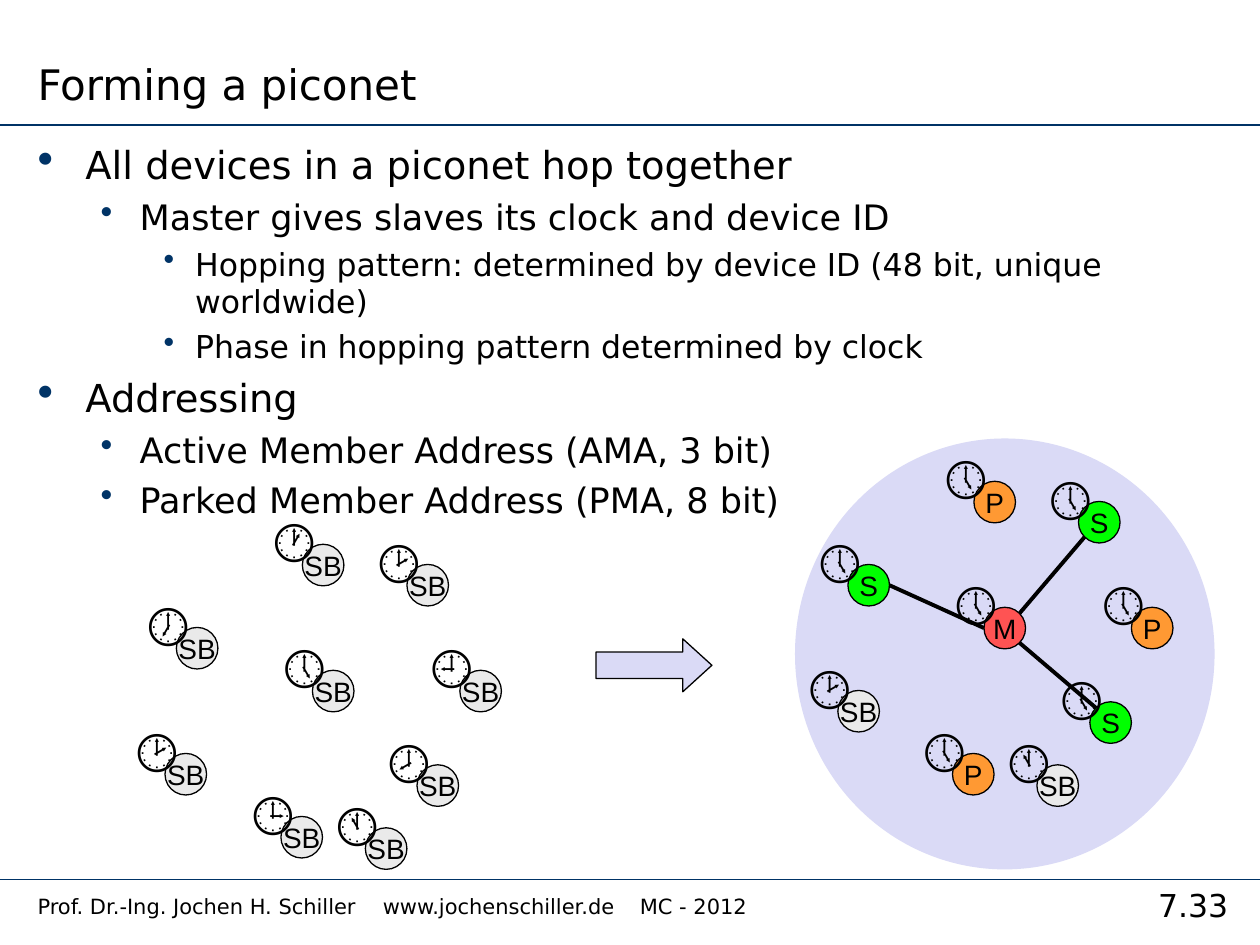
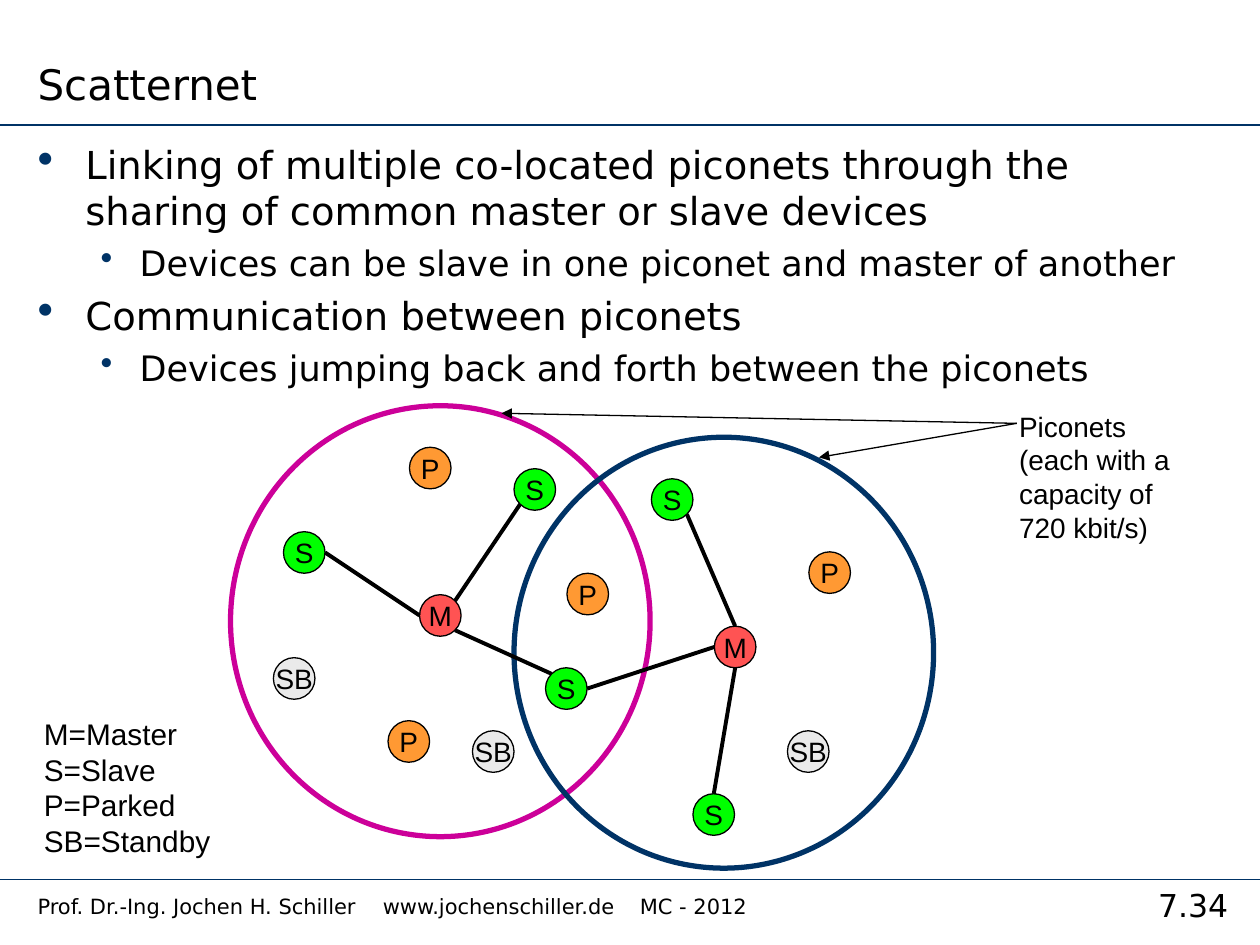
import math
from dataclasses import dataclass

from lxml import etree
from pptx import Presentation
from pptx import util as u
from pptx.dml.color import RGBColor
from pptx.enum import shapes, text
from pptx.oxml.ns import qn


@dataclass(frozen=True)
class Theme:
    ink = "000000"
    navy = "003366"
    magenta = "CC0099"
    lavender = "DADAF6"
    roles = {"M": "FF5353", "S": "00FF00", "P": "FF9933", "SB": "EAEAEA"}
    heading_font = "DejaVu Sans"
    label_font = "Arial"
    title_size = 24
    number_size = 18
    footer_size = 12
    label_size = 16
    legend_size = 17
    clock_size = 28
    thin = 0.75
    rule = 1
    link = 2.25
    ring = 3
    node = 0.33
    levels = ((22, 0.38, 0.38, 120), (20, 0.81, 0.31, 100), (18, 1.25, 0.25, 100))


THEME = Theme()
FOOTER = "Prof. Dr.-Ing. Jochen H. Schiller\twww.jochenschiller.de\tMC - 2012"
FOOTER_TABS = (2.74, 4.78)
PICONET_SIZE = (3.33, 3.42)
COMPASS = ("E", "SE", "S", "SW", "W", "NW", "N", "NE")


def apply(target, values):
    for name, value in values.items():
        setattr(target, name, value)


def inches(values):
    return [u.Inches(value) for value in values]


def add_child(parent, tag, **attributes):
    return etree.SubElement(parent, qn(tag), attributes)


def write(para, words, size, font):
    span = para.add_run()
    span.text = words
    apply(span.font, {"size": u.Pt(size), "name": font})
    span.font.color.rgb = RGBColor.from_string(THEME.ink)


def add_text(page, area, lines, size, font=THEME.heading_font, align=None, **frame):
    box = page.shapes.add_textbox(*inches(area))
    apply(box.text_frame, {"word_wrap": True, **frame})
    for index, words in enumerate(lines):
        para = box.text_frame.paragraphs[0] if index == 0 else box.text_frame.add_paragraph()
        para.alignment = align
        write(para, words, size, font)
    return box


def add_label(page, area, lines, size):
    add_text(page, area, lines, size, THEME.label_font, word_wrap=False,
             auto_size=text.MSO_AUTO_SIZE.SHAPE_TO_FIT_TEXT)


def add_line(page, start, end, color, width, arrow=False):
    line = page.shapes.add_connector(shapes.MSO_CONNECTOR.STRAIGHT, *inches((*start, *end)))
    line.line.color.rgb = RGBColor.from_string(color)
    line.line.width = u.Pt(width)
    if arrow:
        add_child(line.line._get_or_add_ln(), "a:tailEnd", type="triangle")
    add_child(line._element.spPr, "a:effectLst")


def add_figure(page, kind, area, fill=None, line=None, width=THEME.thin):
    figure = page.shapes.add_shape(kind, *inches(area))
    figure.shadow.inherit = False
    if fill:
        figure.fill.solid()
        figure.fill.fore_color.rgb = RGBColor.from_string(fill)
    else:
        figure.fill.background()
    if line:
        figure.line.color.rgb = RGBColor.from_string(line)
        figure.line.width = u.Pt(width)
    else:
        figure.line.fill.background()
    return figure


def add_piconet(page, corner, **look):
    add_figure(page, shapes.MSO_SHAPE.OVAL, (*corner, *PICONET_SIZE), **look)


def add_device(page, role, corner):
    node = add_figure(page, shapes.MSO_SHAPE.OVAL, (*corner, THEME.node, THEME.node),
                      THEME.roles[role], THEME.ink)
    apply(node.text_frame, {"word_wrap": False, "vertical_anchor": text.MSO_ANCHOR.MIDDLE})
    para = node.text_frame.paragraphs[0]
    para.alignment = text.PP_ALIGN.CENTER
    write(para, role, THEME.label_size, THEME.label_font)


def add_clock(page, face, corner):
    x, y = (place - THEME.node for place in corner)
    add_label(page, (x, y, 0.55, 0.57), [face], THEME.clock_size)


def rim(corner, side):
    angle = math.pi / 4 * COMPASS.index(side)
    radius = THEME.node / 2
    return (corner[0] + radius * (1 + math.cos(angle)),
            corner[1] + radius * (1 + math.sin(angle)))


def add_links(page, master, links):
    for master_side, slave, slave_side in links:
        add_line(page, rim(master, master_side), rim(slave, slave_side), THEME.ink, THEME.link)


def add_outline(page, items):
    box = page.shapes.add_textbox(*inches((0.2, 1.07, 9.61, 5.85)))
    box.text_frame.word_wrap = True
    for index, (level, words) in enumerate(items):
        size, left, hanging, bullet = THEME.levels[level]
        para = box.text_frame.paragraphs[0] if index == 0 else box.text_frame.add_paragraph()
        apply(para, {"level": level, "space_before": u.Pt(size * 0.23)})
        props = para._p.get_or_add_pPr()
        props.set("marL", str(u.Inches(left)))
        props.set("indent", str(-u.Inches(hanging)))
        add_child(add_child(props, "a:buClr"), "a:srgbClr", val=THEME.navy)
        add_child(props, "a:buSzPct", val=str(bullet * 1000))
        add_child(props, "a:buChar", char="•")
        write(para, words, size, THEME.heading_font)


def add_page(deck, title, number):
    page = deck.slides.add_slide(deck.slide_layouts[6])
    for y in (0.99, 6.98):
        add_line(page, (0, y), (10, y), THEME.navy, THEME.rule)
    add_text(page, (8.94, 6.98, 1.06, 0.4), [number], THEME.number_size,
             align=text.PP_ALIGN.CENTER)
    footer = add_text(page, (0.2, 7.04, 8.74, 0.33), [FOOTER], THEME.footer_size)
    tabs = add_child(footer.text_frame.paragraphs[0]._p.get_or_add_pPr(), "a:tabLst")
    for stop in FOOTER_TABS:
        add_child(tabs, "a:tab", pos=str(u.Inches(stop)), algn="l")
    add_text(page, (0.2, 0, 6.61, 0.91), [title], THEME.title_size,
             vertical_anchor=text.MSO_ANCHOR.BOTTOM)
    return page


def build_forming(deck):
    page = add_page(deck, "Forming a piconet", "7.33")
    add_outline(page, (
        (0, "All devices in a piconet hop together"),
        (1, "Master gives slaves its clock and device ID"),
        (2, "Hopping pattern: determined by device ID (48 bit, unique worldwide)"),
        (2, "Phase in hopping pattern determined by clock"),
        (0, "Addressing"),
        (1, "Active Member Address (AMA, 3 bit)"),
        (1, "Parked Member Address (PMA, 8 bit)"),
    ))
    standby = (
        ("🕔", (2.48, 5.32)), ("🕖", (1.4, 4.98)), ("🕒", (2.23, 6.48)),
        ("🕑", (1.31, 5.98)), ("🕑", (3.23, 4.48)), ("🕗", (3.31, 6.07)),
        ("🕐", (2.4, 4.32)), ("🕘", (3.65, 5.32)), ("🕚", (2.9, 6.57)),
    )
    master = (7.81, 4.82)
    west, north, south = (6.73, 4.48), (8.56, 3.98), (8.65, 5.57)
    members = (
        ("M", "🕔", master), ("S", "🕔", west), ("P", "🕔", (7.56, 5.98)),
        ("SB", "🕑", (6.65, 5.48)), ("S", "🕔", north), ("S", "🕔", south),
        ("P", "🕔", (7.73, 3.82)), ("P", "🕔", (8.98, 4.82)), ("SB", "🕚", (8.23, 6.07)),
    )
    for face, corner in standby:
        add_device(page, "SB", corner)
    add_piconet(page, (6.31, 3.48), fill=THEME.lavender)
    for role, face, corner in members:
        add_device(page, role, corner)
    add_links(page, master, (("W", west, "E"), ("NE", north, "SW"), ("SE", south, "NW")))
    arrow = add_figure(page, shapes.MSO_SHAPE.RIGHT_ARROW, (4.73, 5.07, 0.92, 0.42),
                       THEME.lavender, THEME.ink)
    arrow.adjustments[1] = 0.55
    for face, corner in standby + tuple(member[1:] for member in members):
        add_clock(page, face, corner)


def build_scatternet(deck):
    page = add_page(deck, "Scatternet", "7.34")
    add_piconet(page, (1.83, 3.22), line=THEME.magenta, width=THEME.ring)
    add_piconet(page, (4.08, 3.47), line=THEME.navy, width=THEME.ring)
    add_outline(page, (
        (0, "Linking of multiple co-located piconets through the sharing of "
            "common master or slave devices"),
        (1, "Devices can be slave in one piconet and master of another"),
        (0, "Communication between piconets"),
        (1, "Devices jumping back and forth between the piconets"),
    ))
    add_label(page, (0.25, 5.63, 1.54, 1.24),
              ("M=Master", "S=Slave", "P=Parked", "SB=Standby"), THEME.legend_size)
    left_master, right_master = (3.33, 4.72), (5.67, 4.97)
    west, north, bridge = (2.25, 4.22), (4.08, 3.72), (4.33, 5.3)
    upper, lower = (5.17, 3.8), (5.5, 6.3)
    devices = {
        "M": (left_master, right_master),
        "S": (west, north, bridge, upper, lower),
        "P": ((3.08, 5.72), (3.25, 3.55), (4.5, 4.55), (6.42, 4.38)),
        "SB": ((2.17, 5.22), (3.75, 5.8), (6.25, 5.8)),
    }
    for role, corners in devices.items():
        for corner in corners:
            add_device(page, role, corner)
    add_links(page, left_master, (("W", west, "E"), ("NE", north, "SW"), ("SE", bridge, "NW")))
    add_links(page, right_master, (("N", upper, "SE"), ("W", bridge, "E"), ("S", lower, "N")))
    add_label(page, (7.99, 3.2, 1.46, 1.17),
              ("Piconets", "(each with a", "capacity of", "720 kbit/s)"), THEME.label_size)
    for target in ((3.98, 3.28), (6.5, 3.63)):
        add_line(page, (8.07, 3.36), target, THEME.ink, THEME.thin, arrow=True)


def main():
    deck = Presentation()
    apply(deck, {"slide_width": u.Inches(10), "slide_height": u.Inches(7.5)})
    build_forming(deck)
    build_scatternet(deck)
    deck.save("out.pptx")


if __name__ == "__main__":
    main()
